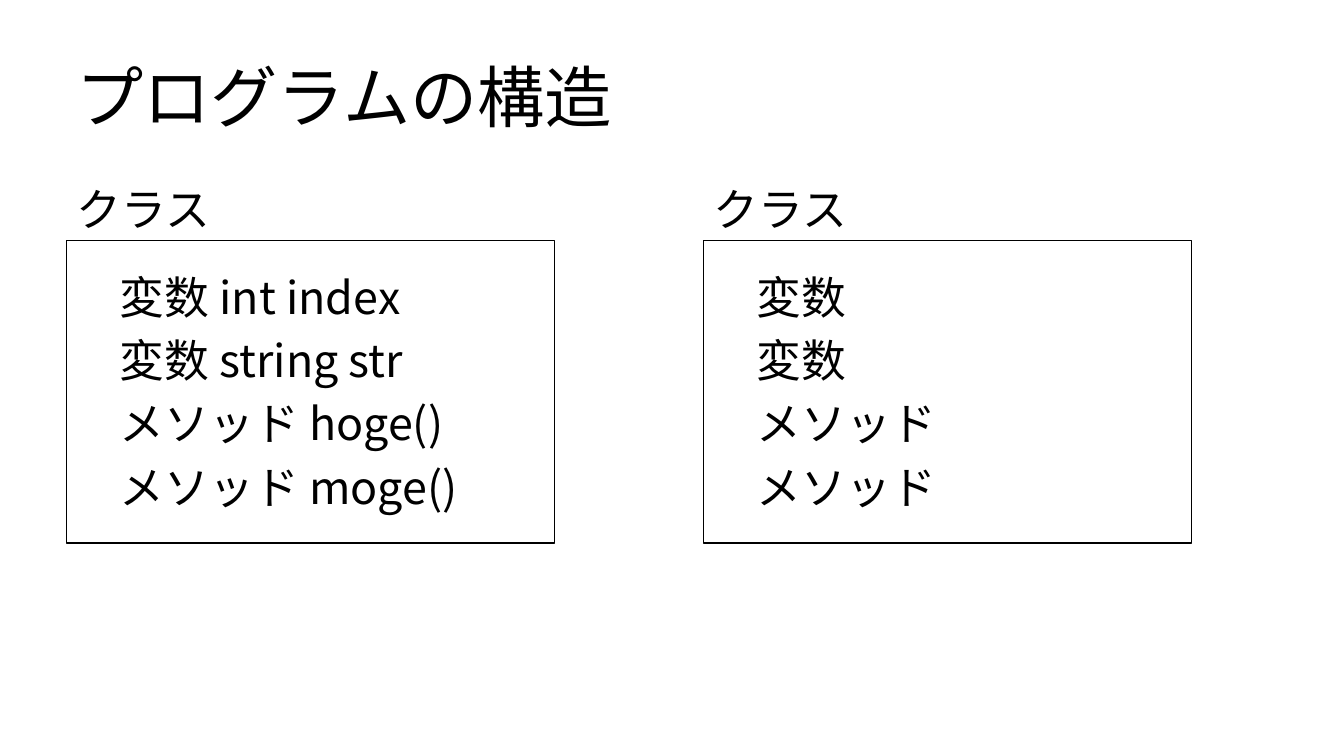
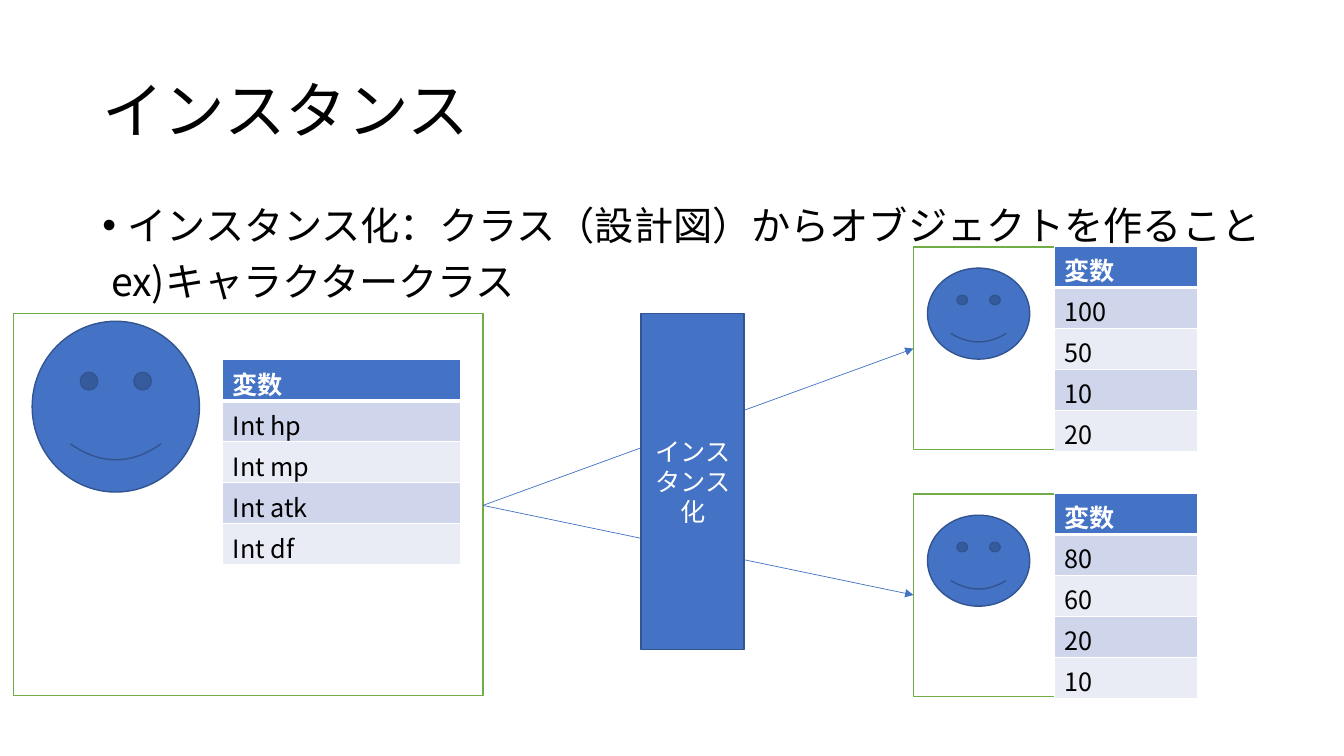
from lxml.etree import SubElement
from pptx import Presentation
from pptx.dml.color import RGBColor
from pptx.enum.shapes import MSO_CONNECTOR, MSO_SHAPE
from pptx.enum.text import MSO_ANCHOR, PP_ALIGN
from pptx.oxml.ns import qn
from pptx.util import Pt

FONT = "Noto Sans CJK JP"
BLACK = RGBColor(0x00, 0x00, 0x00)
WHITE = RGBColor(0xFF, 0xFF, 0xFF)
BLUE = RGBColor(0x44, 0x72, 0xC4)
NAVY = RGBColor(0x32, 0x54, 0x91)
GREEN = RGBColor(0x70, 0xAD, 0x47)
BAND_DARK = RGBColor(0xCF, 0xD5, 0xEA)
BAND_LIGHT = RGBColor(0xE9, 0xEB, 0xF5)


def style(frame, size, color=BLACK, bold=False):
    """Format every run, for both Latin and Japanese text."""
    for para in frame.paragraphs:
        for run in para.runs:
            font = run.font
            font.size, font.bold = Pt(size), bold
            font.color.rgb = color
            font.name = FONT
            SubElement(font._element, qn("a:ea"), typeface=FONT)


def add_text(slide, text, x, y, w, h, size):
    box = slide.shapes.add_textbox(Pt(x), Pt(y), Pt(w), Pt(h))
    frame = box.text_frame
    frame.word_wrap = True
    frame.text = text
    style(frame, size)
    return frame


def add_form(slide, kind, x, y, w, h, fill, line):
    form = slide.shapes.add_shape(kind, Pt(x), Pt(y), Pt(w), Pt(h))
    form.shadow.inherit = False
    form.fill.solid()
    form.fill.fore_color.rgb = fill
    form.line.color.rgb = line
    form.line.width = Pt(1)
    return form


def add_face(slide, x, y, w, h):
    add_form(slide, MSO_SHAPE.SMILEY_FACE, x, y, w, h, BLUE, NAVY)


def add_arrow(slide, x1, y1, x2, y2):
    arrow = slide.shapes.add_connector(
        MSO_CONNECTOR.STRAIGHT, Pt(x1), Pt(y1), Pt(x2), Pt(y2))
    arrow.line.color.rgb = BLUE
    arrow.line.width = Pt(0.5)
    SubElement(arrow.line._get_or_add_ln(), qn("a:tailEnd"), type="triangle")
    SubElement(arrow._element.spPr, qn("a:effectLst"))


def set_edges(cell, top, bottom):
    props = cell._tc.get_or_add_tcPr()
    for side, width in (("L", 1), ("R", 1), ("T", top), ("B", bottom)):
        edge = SubElement(props, qn("a:ln" + side), w=str(Pt(width)))
        fill = SubElement(edge, qn("a:solidFill"))
        SubElement(fill, qn("a:srgbClr"), val=str(WHITE))


def add_grid(slide, values, x, y, w):
    """One column of values under a header."""
    texts = ["変数"] + values
    high = 29.3
    grid = slide.shapes.add_table(
        len(texts), 1, Pt(x), Pt(y), Pt(w), Pt(high * len(texts))).table
    for i, text in enumerate(texts):
        grid.rows[i].height = Pt(high)
        cell = grid.cell(i, 0)
        head = i == 0
        cell.text_frame.text = text
        style(cell.text_frame, 18, WHITE if head else BLACK, head)
        set_edges(cell, 3 if i == 1 else 1, 3 if head else 1)
        cell.fill.solid()
        band = BAND_DARK if i % 2 else BAND_LIGHT
        cell.fill.fore_color.rgb = BLUE if head else band


def add_class(slide, x, members):
    add_form(slide, MSO_SHAPE.RECTANGLE, x, 172, 348.5, 216, WHITE, BLACK)
    add_text(slide, "クラス", x, 126, 296, 46, 32)
    for i, text in enumerate(members):
        add_text(slide, text, x + 31, 189 + 45.2 * i, 296, 46, 32)


def add_object(slide, y, values):
    add_form(slide, MSO_SHAPE.RECTANGLE, 652.5, y, 203, 144.5, WHITE, GREEN)
    add_face(slide, 662.5, y + 15, 73, 65)
    add_grid(slide, values, 753, y - 0.5, 102.5)


def build_structure(slide):
    add_class(slide, 47.5, ["変数 int index", "変数 string str",
                            "メソッド hoge()", "メソッド moge()"])
    add_class(slide, 502.5, ["変数", "変数", "メソッド", "メソッド"])
    add_text(slide, "プログラムの構造", 47.5, 36, 487, 65.5, 48)


def build_instance(slide):
    # Class frame, title and body
    add_form(slide, MSO_SHAPE.RECTANGLE, 9.5, 224, 335.5, 273, WHITE, GREEN)
    title = add_text(slide, "インスタンス", 66, 28.8, 828, 104.4, 44)
    title.vertical_anchor = MSO_ANCHOR.MIDDLE
    title.paragraphs[0].line_spacing = 0.9
    body = add_text(
        slide, "インスタンス化：クラス（設計図）からオブジェクトを作ること\n"
        " ex)キャラクタークラス", 66, 144, 871, 342.7, 28)
    for para in body.paragraphs:
        para.line_spacing = 0.9
        para.space_before = Pt(10)
    props = body.paragraphs[0]._p.get_or_add_pPr()
    props.set("marL", str(Pt(18)))
    props.set("indent", str(Pt(-18)))
    SubElement(props, qn("a:buFont"), typeface="Arial")
    SubElement(props, qn("a:buChar"), char="•")

    # Class and the objects made from it
    add_face(slide, 23, 229.5, 119.5, 122)
    add_grid(slide, ["Int hp", "Int mp", "Int atk", "Int df"], 159, 257, 170)
    add_object(slide, 353, ["80", "60", "20", "10"])
    add_object(slide, 176.5, ["100", "50", "10", "20"])

    # Arrows run behind the bar
    for end in (249, 425):
        add_arrow(slide, 345, 361, 652.5, end)
    bar = add_form(slide, MSO_SHAPE.RECTANGLE, 458, 224, 73.5, 240, BLUE, NAVY)
    frame = bar.text_frame
    frame.word_wrap = True
    frame.vertical_anchor = MSO_ANCHOR.MIDDLE
    frame.text = "インスタンス化"
    frame.paragraphs[0].alignment = PP_ALIGN.CENTER
    style(frame, 18, WHITE)


def main():
    deck = Presentation()
    deck.slide_width, deck.slide_height = Pt(960), Pt(540)
    for build in (build_structure, build_instance):
        build(deck.slides.add_slide(deck.slide_layouts[6]))
    deck.save("out.pptx")


main()
